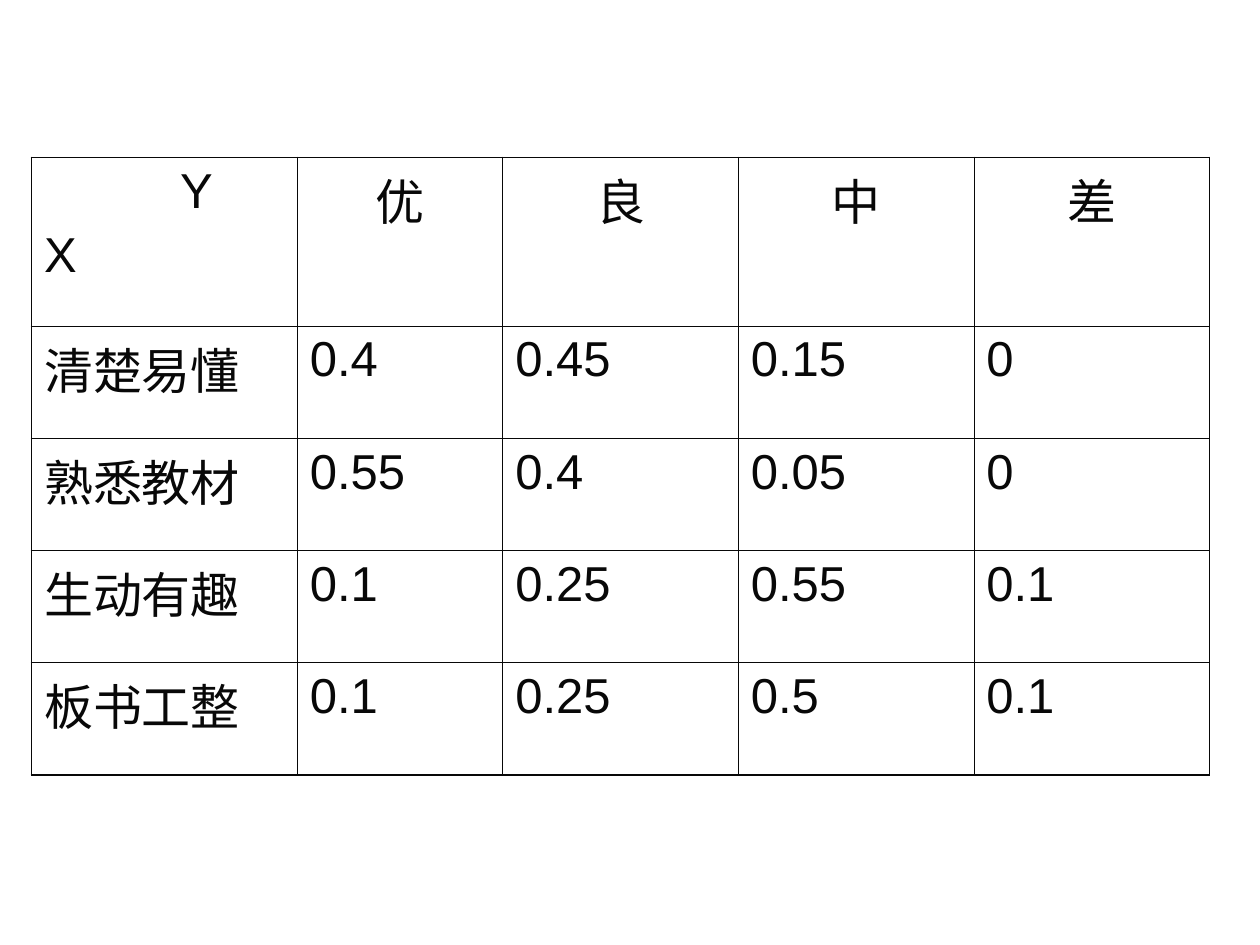
import pptx
import pptx.dml.color
import pptx.enum.text
import pptx.oxml
import pptx.oxml.ns
import pptx.util
from pptx.util import Inches

COLORS = {"ink": "080808"}
ALIGN = pptx.enum.text.PP_ALIGN
OUTER_LINE, INNER_LINE = 1.08, 0.45

COLUMN_WIDTHS = [2.11, 1.63, 1.87, 1.87, 1.87]
ROW_HEIGHTS = [1.34] + [0.89] * 4
RATINGS = [
    ["Y\nX", "优", "良", "中", "差"],
    ["清楚易懂", "0.4", "0.45", "0.15", "0"],
    ["熟悉教材", "0.55", "0.4", "0.05", "0"],
    ["生动有趣", "0.1", "0.25", "0.55", "0.1"],
    ["板书工整", "0.1", "0.25", "0.5", "0.1"],
]


class SlideBuilder:
    def __init__(self, slide):
        self.slide = slide
        self.font = {"name": "Arial", "size": pptx.util.Pt(28), "bold": False}
        self.cell_format = {
            "margin_left": Inches(0.1), "margin_right": Inches(0.1),
            "margin_top": Inches(0.05), "margin_bottom": Inches(0.05),
        }
        self.paragraph_gap = pptx.util.Pt(5.6)

    def apply(self, target, values):
        for name, value in values.items():
            setattr(target, name, value)

    def table(self, left, top, widths, heights, rows):
        frame = self.slide.shapes.add_table(
            len(heights), len(widths), Inches(left), Inches(top),
            Inches(sum(widths)), Inches(sum(heights)))
        table = frame.table
        self.apply(table, {"first_row": False, "horz_banding": False})
        for column, width in zip(table.columns, widths):
            column.width = Inches(width)
        for row, height in zip(table.rows, heights):
            row.height = Inches(height)
        last_row, last_column = len(heights) - 1, len(widths) - 1
        for r, texts in enumerate(rows):
            for c, text in enumerate(texts):
                cell = table.cell(r, c)
                centred = r == 0 and c > 0
                self.cell_text(cell, text, ALIGN.CENTER if centred else ALIGN.LEFT)
                self.borders(cell, {"L": c == 0, "R": c == last_column,
                                    "T": r == 0, "B": r == last_row})
                cell.fill.background()
        return table

    def cell_text(self, cell, text, alignment):
        self.apply(cell, self.cell_format)
        cell.text_frame.text = text
        for index, para in enumerate(cell.text_frame.paragraphs):
            para.alignment = alignment
            if index:
                para.space_before = self.paragraph_gap
            for span in para.runs:
                self.apply(span.font, self.font)
                span.font.color.rgb = pptx.dml.color.RGBColor.from_string(COLORS["ink"])

    def borders(self, cell, outer_sides):
        """Line every side; sides flagged True lie on the table's outer edge."""
        properties = cell._tc.get_or_add_tcPr()
        for side, is_outer in outer_sides.items():
            width = pptx.util.Pt(OUTER_LINE if is_outer else INNER_LINE)
            properties.append(pptx.oxml.parse_xml(
                f'<a:ln{side} {pptx.oxml.ns.nsdecls("a")} w="{width}">'
                f'<a:solidFill><a:srgbClr val="{COLORS["ink"]}"/></a:solidFill>'
                f'</a:ln{side}>'))

    def indent(self, para, length):
        para._p.get_or_add_pPr().set("marL", str(Inches(length)))


def main():
    deck = pptx.Presentation()
    deck.slide_width, deck.slide_height = Inches(10), Inches(7.5)
    builder = SlideBuilder(deck.slides.add_slide(deck.slide_layouts[6]))
    table = builder.table(0.25, 1.25, COLUMN_WIDTHS, ROW_HEIGHTS, RATINGS)
    builder.indent(table.cell(0, 0).text_frame.paragraphs[0], 1.08)
    deck.save("out.pptx")


if __name__ == "__main__":
    main()
